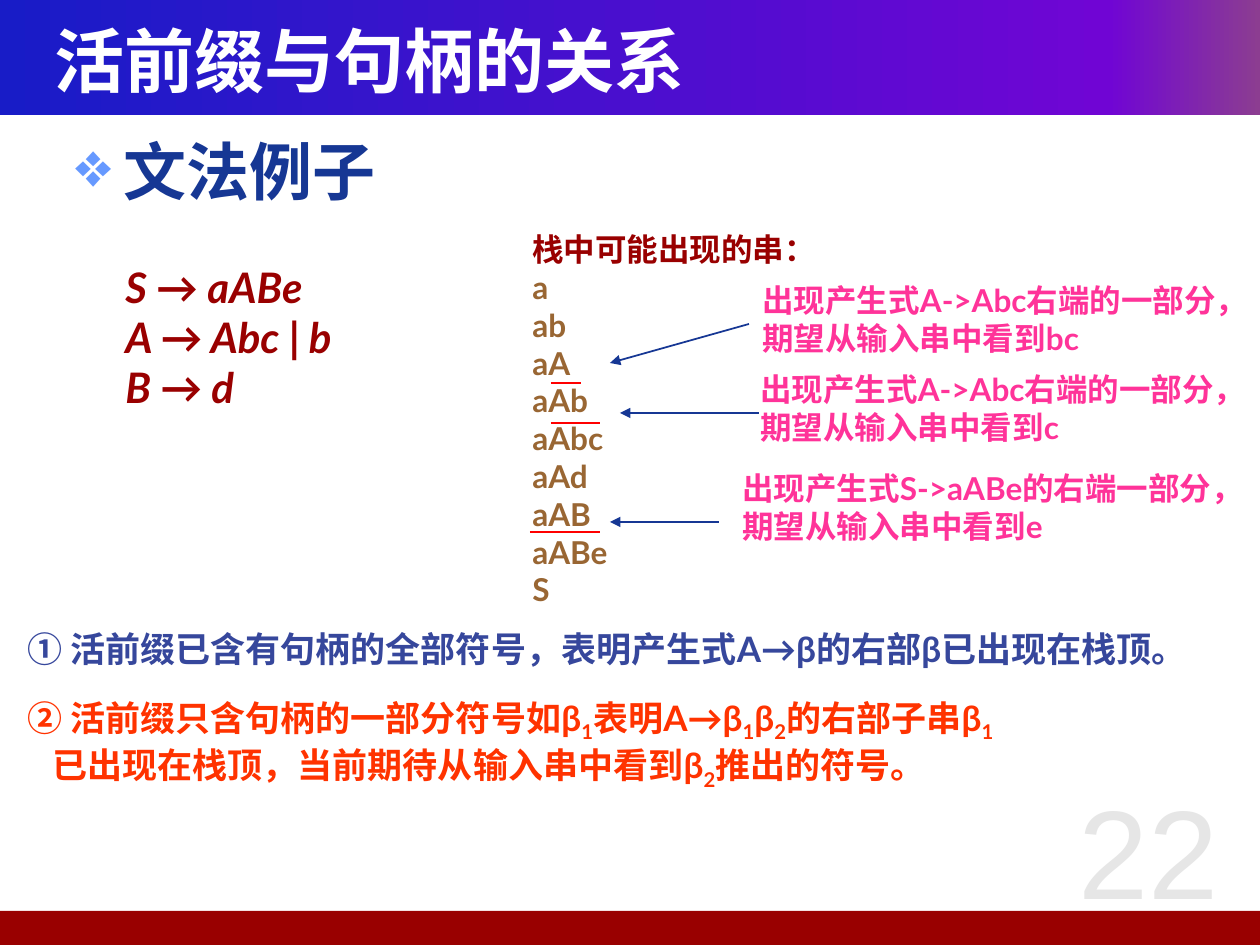
from lxml.etree import SubElement
from pptx import Presentation
from pptx.dml.color import RGBColor
from pptx.enum.shapes import MSO_CONNECTOR, MSO_SHAPE
from pptx.enum.text import MSO_ANCHOR, PP_ALIGN
from pptx.oxml import parse_xml
from pptx.oxml.ns import nsdecls, qn
from pptx.util import Emu, Pt

SCALE = 914400 // 126
CJK = "Noto Sans CJK SC"
COLORS = {
    "white": "FFFFFF", "navy": "163794", "bullet": "6699FF", "number": "E6E6E6",
    "maroon": "990000", "brown": "996633", "pink": "FF3399", "indigo": "36479C",
    "orange": "FF3300", "red": "FF0000",
}
BANNER_STOPS = [(0, "0A128C"), (0, "181CC7"), (88, "7005D4"), (100, "8C3D91")]


def px(value):
    """Turn pixels into EMU."""
    return Emu(value * SCALE)


def rgb(name):
    """Look up a named colour."""
    return RGBColor.from_string(COLORS[name])


def write(paragraph, text, size=18, color="navy", font="Lato", bold=True,
          italic=False, subscript=False):
    """Add one formatted run to a paragraph."""
    run = paragraph.add_run()
    run.text = text
    run.font.size, run.font.name = Pt(size), font
    run.font.bold, run.font.italic = bold, italic
    run.font.color.rgb = rgb(color)
    properties = run._r.get_or_add_rPr()
    if subscript:
        properties.set("baseline", "-25000")
    latin = properties.find(qn("a:latin"))
    latin.addnext(parse_xml(f'<a:ea {nsdecls("a")} typeface="{CJK}"/>'))


class SlideBuilder:
    """Holds the slide and draws its elements in pixels."""

    def __init__(self, slide):
        """Keep the current slide."""
        self.slide = slide

    def bar(self, left, top, width, height, color=None, stops=()):
        """Draw a borderless bar with a solid or gradient fill."""
        shape = self.slide.shapes.add_shape(
            MSO_SHAPE.RECTANGLE, px(left), px(top), px(width), px(height))
        shape.shadow.inherit = False
        shape.line.fill.background()
        if color:
            shape.fill.solid()
            shape.fill.fore_color.rgb = rgb(color)
            return
        shape.fill.gradient()
        shape.fill.gradient_angle = 0
        stop_list = shape._element.spPr.find(qn("a:gradFill")).find(qn("a:gsLst"))
        for stop in list(stop_list):
            stop_list.remove(stop)
        for position, value in stops:
            stop = SubElement(stop_list, qn("a:gs"), pos=str(position * 1000))
            SubElement(stop, qn("a:srgbClr"), val=value)

    def title(self, text, left, top, width, height):
        """Place the title placeholder and fill it."""
        shape = self.slide.shapes.title
        shape.left, shape.top = px(left), px(top)
        shape.width, shape.height = px(width), px(height)
        shape.text_frame.vertical_anchor = MSO_ANCHOR.MIDDLE
        paragraph = shape.text_frame.paragraphs[0]
        paragraph.alignment = PP_ALIGN.LEFT
        write(paragraph, text, size=40, color="white", font=CJK)

    def text(self, lines, left, top, width, height, wrap=False, **style):
        """Add a text box; a line is a string or a list of (text, changes)."""
        frame = self.slide.shapes.add_textbox(
            px(left), px(top), px(width), px(height)).text_frame
        frame.word_wrap = wrap
        for index, line in enumerate(lines):
            paragraph = frame.add_paragraph() if index else frame.paragraphs[0]
            for text, changes in [(line, {})] if isinstance(line, str) else line:
                write(paragraph, text, **{**style, **changes})
        return frame

    def line(self, start, end, color, arrow=False):
        """Draw a thin line, with an arrowhead at its end if asked."""
        connector = self.slide.shapes.add_connector(
            MSO_CONNECTOR.STRAIGHT, *map(px, start + end))
        connector.line.color.rgb = rgb(color)
        connector.line.width = Pt(1)
        if arrow:
            SubElement(connector.line._get_or_add_ln(), qn("a:tailEnd"), type="triangle")
        SubElement(connector._element.spPr, qn("a:effectLst"))


def indent(paragraph, left, first=0):
    """Set left margin and first-line indent in pixels."""
    properties = paragraph._p.get_or_add_pPr()
    properties.set("marL", str(px(left)))
    properties.set("indent", str(px(first)))
    return properties


def with_subscripts(text):
    """Split text so that each digit after a beta becomes a subscript."""
    first, *rest = text.split("β")
    runs = [(first, {})]
    for part in rest:
        runs[-1] = (runs[-1][0] + "β", {})
        if part[:1].isdigit():
            runs.append((part[0], {"subscript": True}))
            part = part[1:]
        runs.append((part, {}))
    return [run for run in runs if run[0]]


presentation = Presentation()
presentation.slide_width, presentation.slide_height = px(1260), px(945)
slide = presentation.slides.add_slide(presentation.slide_layouts[5])
builder = SlideBuilder(slide)

builder.bar(0, 0, 1260, 115, stops=BANNER_STOPS)
builder.bar(-5, 911, 1265, 34, color="maroon")
# The title goes in front of the banner
slide.shapes._spTree.append(slide.shapes.title._element)
builder.title("活前缀与句柄的关系", 42, 21, 1166, 78)

heading = builder.text(["文法例子"], 63, 135, 1134, 723, wrap=True, size=36, font=CJK)
heading.paragraphs[0].line_spacing = 0.9
bullet = indent(heading.paragraphs[0], 48, -48)
color = SubElement(bullet, qn("a:buClr"))
SubElement(color, qn("a:srgbClr"), val=COLORS["bullet"])
SubElement(bullet, qn("a:buChar"), char="❖")

number = builder.text(["22"], 1037, 760, 223, 179, wrap=True, size=72, font="Arial",
                      color="number", bold=False)
number.vertical_anchor = MSO_ANCHOR.MIDDLE
number.paragraphs[0].alignment = PP_ALIGN.CENTER

stack = ["a", "ab", "aA", "aAb", "aAbc", "aAd", "aAB", "aABe", "S"]
builder.text([[("栈中可能出现的串：", {"color": "maroon"})], *stack],
             520, 224, 358, 391, wrap=True, color="brown")
builder.text(["S → aABe", [("A → Abc ", {}), ("|", {"italic": False}), (" b", {})], "B → d"],
             113, 255, 277, 165, size=24, color="maroon", italic=True)

for left, top, width, production, expected in [
        (750, 275, 525, "A->Abc右端的", "bc"),
        (748, 364, 525, "A->Abc右端的", "c"),
        (730, 463, 547, "S->aABe的右端", "e")]:
    builder.text([f"出现产生式{production}一部分，", f"期望从输入串中看到{expected}"],
                 left, top, width, 88, color="pink")

for start, end in [((749, 324), (610, 363)), ((759, 413), (620, 413)),
                   ((719, 522), (610, 522))]:
    builder.line(start, end, "navy", arrow=True)
for left, right, y in [(551, 581, 383), (551, 600, 423), (530, 600, 532)]:
    builder.line((left, y), (right, y), "red")

builder.text(["① 活前缀已含有句柄的全部符号，表明产生式A→β的右部β已出现在栈顶。"],
             15, 621, 1222, 55, size=20, color="indigo")
second_rule = builder.text(
    [with_subscripts("② 活前缀只含句柄的一部分符号如β1表明A→β1β2的右部子串β1"),
     with_subscripts("已出现在栈顶，当前期待从输入串中看到β2推出的符号。")],
    15, 690, 1052, 97, size=20, color="orange")
indent(second_rule.paragraphs[1], 25)

presentation.save("out.pptx")
